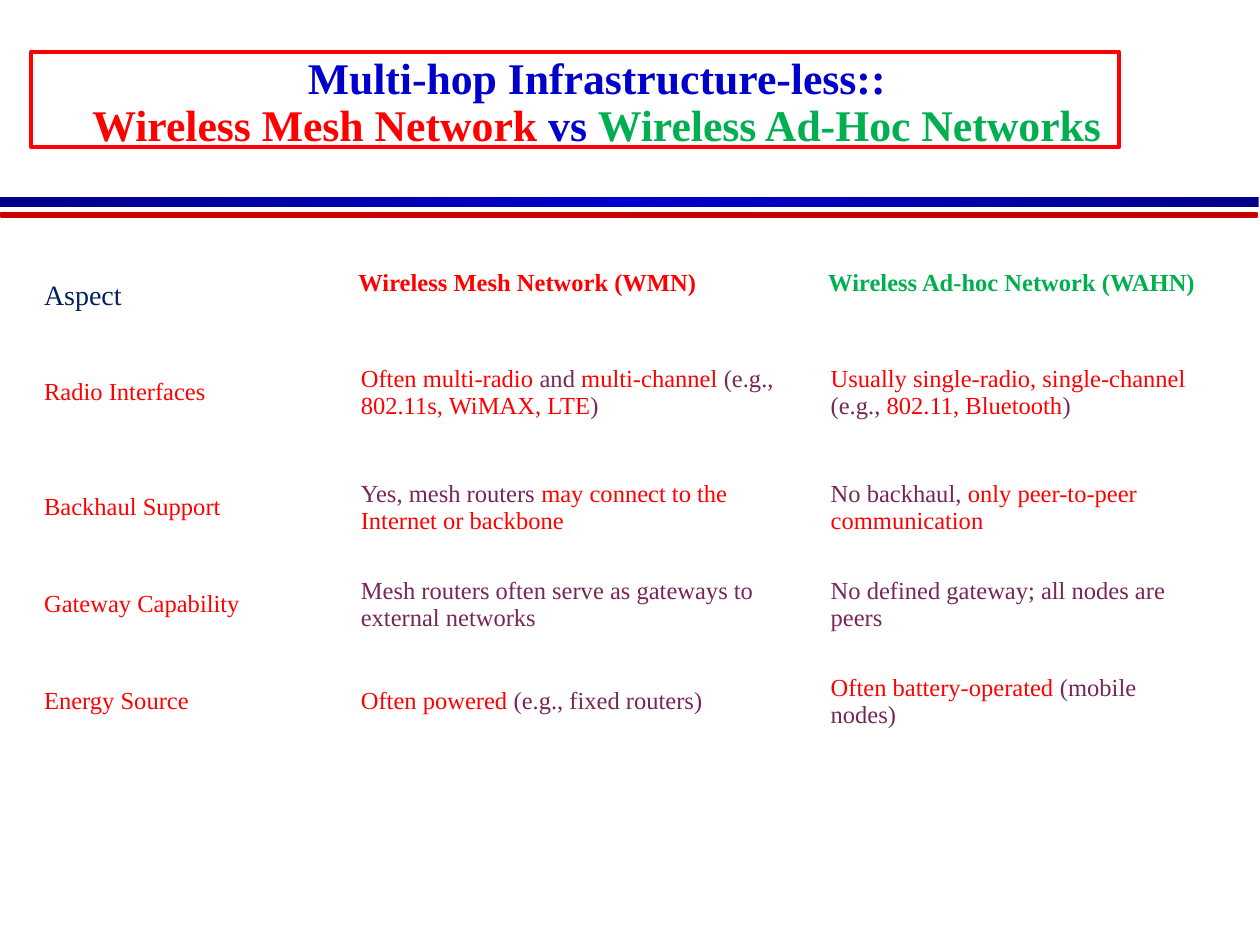
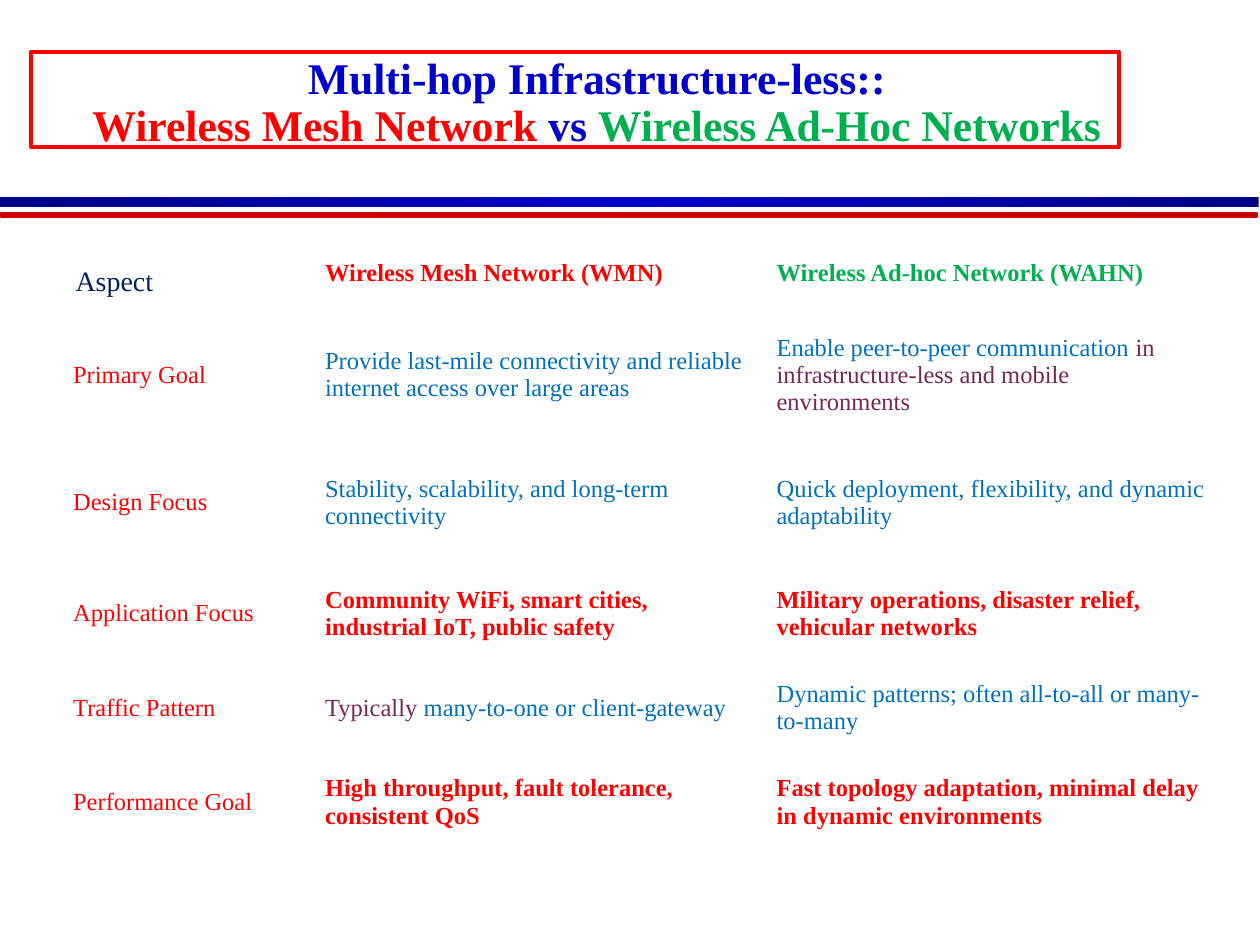
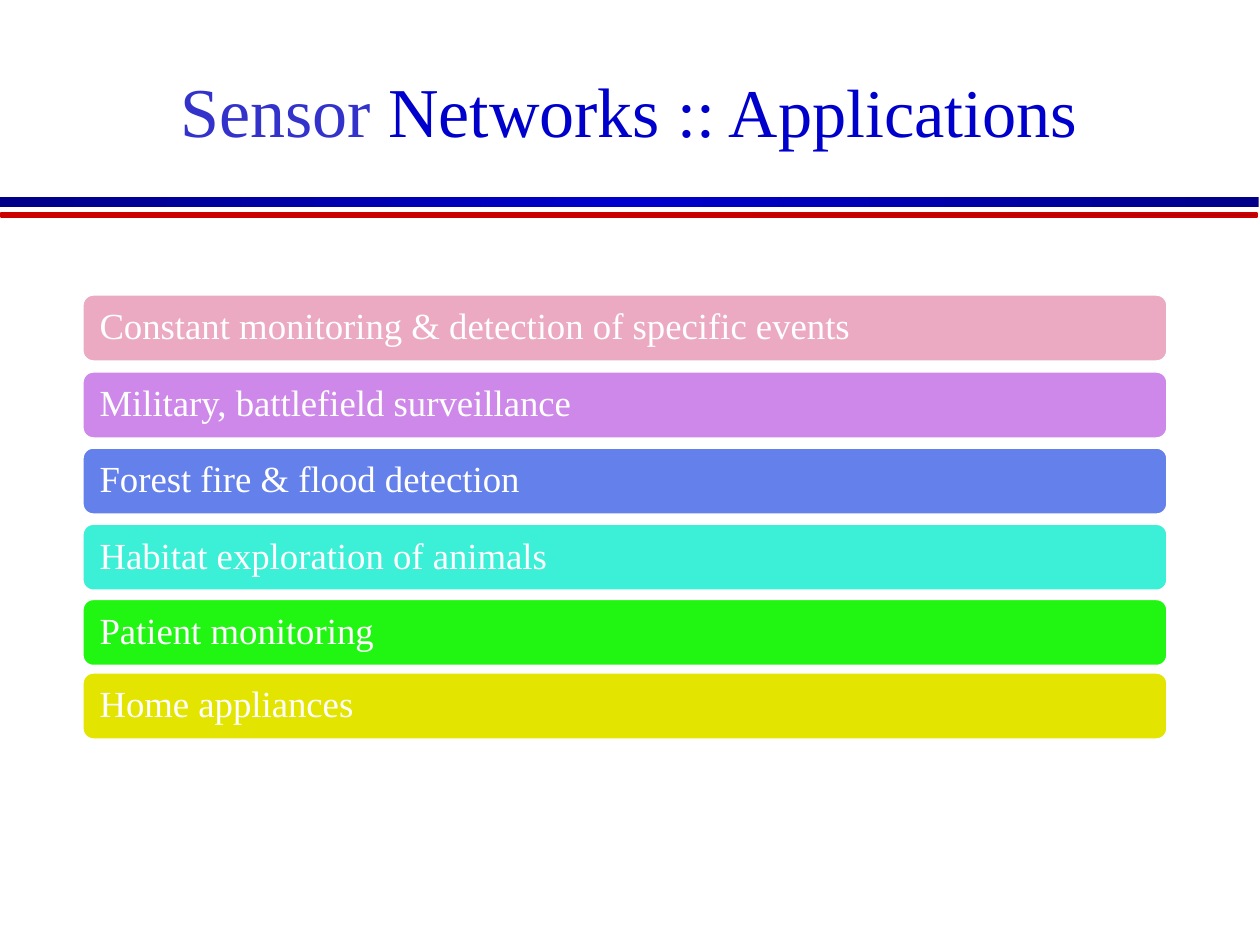
"""Build three slides on wireless mesh, ad-hoc and sensor networks."""
from copy import deepcopy
from dataclasses import dataclass, field

from pptx import Presentation
from pptx.dml.color import RGBColor
from pptx.enum import shapes, text
from pptx.util import Pt


@dataclass
class Theme:
    font: str = "Times New Roman"
    colors: dict = field(default_factory=lambda: {
        "red": "FF0000", "green": "00B050", "blue": "0070C0", "plum": "772655",
        "navy": "002060", "royal": "0000CC", "indigo": "3333CC", "white": "FFFFFF",
        "band blue": "000089", "band red": "CC0000", "band dark red": "B90000",
        "pink": "EBAAC1", "violet": "CE88EA", "periwinkle": "6480EB",
        "turquoise": "3CEFD7", "lime": "21F613", "yellow": "E3E500"})
    sizes: dict = field(default_factory=lambda: {
        "body": 14, "aspect": 16, "bar": 21, "heading": 25, "title": 40, "subtitle": 39})

    def color(self, name):
        return RGBColor.from_string(self.colors[name])


THEME = Theme()
BANDS = [
    ((0, 112.3, 719.3, 5.8), ["band blue", "royal", "band blue"], None),
    ((0.7, 121.7, 717.8, 2.2), ["band red", "band dark red"], "band red"),
]
HEADING = [
    ("Multi-hop Infrastructure-less::", "royal", "heading", True), None,
    ("Wireless Mesh Network ", "red", "heading", True),
    ("vs ", "royal", "heading", True),
    ("Wireless Ad-Hoc Networks", "green", "heading", True),
]
HEADING_FRAME = (18, 29.5, 621.4, 54.7)
APPLICATIONS_TITLE = [
    ("Sensor ", "indigo", "title"),
    ("Networks ", "royal", "title"),
    (":: Applications", "royal", "subtitle"),
]
COLUMN_HEADS = [
    [("Aspect", "navy", "aspect")],
    [("Wireless Mesh Network (WMN)", "red", "body", True)],
    [("Wireless Ad-hoc Network (WAHN)", "green", "body", True)],
]
ASPECT_INSETS = (7.2, 8, 7.2, 3.6)
HEAD_INSETS = (5.8, 4.3, 2.9, 4.3)
COMPARISONS = [
    {
        "title_box": (24, 12, 634, 78),
        "corner": (18, 150),
        "columns": [181, 268.5, 222.5],
        "rows": [34, 76, 55.5, 55.5, 55.5],
        "insets": ASPECT_INSETS,
        "aspects": [
            ("Radio Interfaces",
             [("Often multi-radio ", "red"), ("and ", "plum"), ("multi-channel", "red"),
              (" (e.g., ", "plum"), ("802.11s, WiMAX, LTE", "red"), (")", "plum")],
             [("Usually single-radio, single-channel ", "red"), ("(e.g., ", "plum"),
              ("802.11, Bluetooth", "red"), (")", "plum")]),
            ("Backhaul Support",
             [("Yes, mesh routers ", "plum"),
              ("may connect to the Internet or backbone", "red")],
             [("No backhaul, ", "plum"), ("only peer-to-peer communication", "red")]),
            ("Gateway Capability",
             [("Mesh routers often serve as gateways to external networks", "plum")],
             [("No defined gateway; all nodes are peers", "plum")]),
            ("Energy Source",
             [("Often powered ", "red"), ("(e.g., fixed routers)", "plum")],
             [("Often battery-operated ", "red"), ("(mobile nodes)", "plum")]),
        ],
    },
    {
        "title_box": (24, 18, 634, 72),
        "corner": (36, 144),
        "columns": [144, 258, 258],
        "rows": [25, 82, 63.4, 63.4, 44.6, 63.4],
        "insets": (5.8, 2.9, 5.8, 2.9),
        "aspects": [
            ("Primary Goal",
             [("Provide last-mile connectivity and reliable internet access over large areas",
               "blue")],
             [("Enable peer-to-peer communication ", "blue"),
              ("in infrastructure-less and mobile environments", "plum")]),
            ("Design Focus",
             [("Stability, scalability, and long-term connectivity", "blue")],
             [("Quick deployment, flexibility, and dynamic adaptability", "blue")]),
            ("Application Focus",
             [("Community WiFi, smart cities, industrial IoT, public safety",
               "red", "body", True)],
             [("Military operations, disaster relief, vehicular networks",
               "red", "body", True)]),
            ("Traffic Pattern",
             [("Typically ", "plum"), ("many-to-one or client-gateway", "blue")],
             [("Dynamic patterns; often all-to-all or many-to-many", "blue")]),
            ("Performance Goal",
             [("High throughput, fault tolerance, consistent QoS", "red", "body", True)],
             [("Fast topology adaptation, minimal delay in dynamic environments",
               "red", "body", True)]),
        ],
    },
]
APPLICATIONS = [
    ("Constant monitoring & detection of specific events", "pink", 168),
    ("Military, battlefield surveillance", "violet", 212),
    ("Forest fire & flood detection", "periwinkle", 255.5),
    ("Habitat exploration of animals", "turquoise", 299),
    ("Patient monitoring", "lime", 342),
    ("Home appliances", "yellow", 384),
]
BAR_LEFT, BAR_WIDTH, BAR_HEIGHT = 46.8, 620.6, 38.9


def apply(target, **values):
    """Set each named attribute on the target."""
    for name, value in values.items():
        setattr(target, name, value)


def set_insets(target, insets):
    """Set left, top, right and bottom margins in points."""
    sides = ("left", "top", "right", "bottom")
    apply(target, **{f"margin_{side}": Pt(inset) for side, inset in zip(sides, insets)})


def write(paragraph, runs):
    """Add styled runs to a paragraph; None stands for a line break."""
    for content in runs:
        if content is None:
            paragraph.add_line_break()
            continue
        words, color, size, bold = (*content, "body", False)[:4] if len(content) == 2 else (*content, False)[:4]
        run = paragraph.add_run()
        run.text = words
        apply(run.font, name=THEME.font, size=Pt(THEME.sizes[size]), bold=bold)
        run.font.color.rgb = THEME.color(color)
    for line_break in paragraph._p.xpath("a:br"):
        line_break.append(deepcopy(paragraph.runs[0]._r.rPr))


def add_box(slide, kind, box, fill=None, line=None, weight=1):
    """Add a preset shape without shadow."""
    shape = slide.shapes.add_shape(kind, *map(Pt, box))
    shape.shadow.inherit = False
    if fill:
        shape.fill.solid()
        shape.fill.fore_color.rgb = THEME.color(fill)
    else:
        shape.fill.background()
    if line:
        shape.line.color.rgb = THEME.color(line)
        shape.line.width = Pt(weight)
    else:
        shape.line.fill.background()
    return shape


def add_bands(slide, layout):
    """Draw the two gradient bands and move them to the shared layout."""
    for placeholder in list(layout.placeholders)[1:]:
        placeholder._element.getparent().remove(placeholder._element)
    for box, colors, line in BANDS:
        band = add_box(slide, shapes.MSO_SHAPE.RECTANGLE, box, line=line)
        band.fill.gradient()
        band.fill.gradient_angle = 0
        stop_list = band._element.xpath(".//a:gsLst")[0]
        while len(stop_list) < len(colors):
            stop_list.append(deepcopy(stop_list[-1]))
        for index, (stop, color) in enumerate(zip(band.fill.gradient_stops, colors)):
            stop.position = index / (len(colors) - 1)
            stop.color.rgb = THEME.color(color)
        layout.shapes._spTree.append(band._element)


def set_title(slide, box, runs, insets, **spacing):
    """Place the title placeholder and write its runs."""
    title = slide.shapes.title
    apply(title, **dict(zip(("left", "top", "width", "height"), map(Pt, box))))
    frame = title.text_frame
    apply(frame, word_wrap=True, auto_size=text.MSO_AUTO_SIZE.NONE,
          vertical_anchor=text.MSO_ANCHOR.BOTTOM)
    set_insets(frame, insets)
    paragraph = frame.paragraphs[0]
    apply(paragraph, alignment=text.PP_ALIGN.CENTER, **spacing)
    write(paragraph, runs)


def add_comparison(slide, comparison):
    """Add a boxed heading and a plain comparison table."""
    columns, rows = comparison["columns"], comparison["rows"]
    box = (*comparison["corner"], sum(columns), sum(rows))
    table = slide.shapes.add_table(len(rows), len(columns), *map(Pt, box)).table
    apply(table, first_row=False, horz_banding=False)
    for column, width in zip(table.columns, columns):
        column.width = Pt(width)
    for row, height in zip(table.rows, rows):
        row.height = Pt(height)
    contents = [COLUMN_HEADS] + [
        [[(aspect, "red")], mesh, ad_hoc] for aspect, mesh, ad_hoc in comparison["aspects"]]
    for row_index, row_contents in enumerate(contents):
        for column_index, runs in enumerate(row_contents):
            cell = table.cell(row_index, column_index)
            cell.fill.background()
            network_head = row_index == 0 and column_index > 0
            cell.vertical_anchor = text.MSO_ANCHOR.TOP if network_head else text.MSO_ANCHOR.MIDDLE
            head_insets = HEAD_INSETS if network_head else ASPECT_INSETS
            set_insets(cell, comparison["insets"] if row_index else head_insets)
            write(cell.text_frame.paragraphs[0], runs)
    set_title(slide, comparison["title_box"], HEADING, (7.2, 3.6, 7.2, 3.6),
              line_spacing=0.9, space_after=Pt(6))
    add_box(slide, shapes.MSO_SHAPE.RECTANGLE, HEADING_FRAME, line="red", weight=2.25)


def add_applications(slide):
    """Add the title and one coloured bar for each application."""
    set_title(slide, (70.5, 23.8, 578, 65.5), APPLICATIONS_TITLE, (5, 2.9, 5, 2.9))
    for words, color, top in APPLICATIONS:
        bar = add_box(slide, shapes.MSO_SHAPE.ROUNDED_RECTANGLE,
                      (BAR_LEFT, top, BAR_WIDTH, BAR_HEIGHT), color, "white", 2)
        frame = bar.text_frame
        apply(frame, word_wrap=True, vertical_anchor=text.MSO_ANCHOR.MIDDLE)
        set_insets(frame, (8.2, 6.5, 8.2, 6.5))
        paragraph = frame.paragraphs[0]
        apply(paragraph, alignment=text.PP_ALIGN.LEFT, line_spacing=0.9)
        write(paragraph, [(words, "white", "bar")])


def main():
    """Build and save the presentation."""
    presentation = Presentation()
    apply(presentation, slide_width=Pt(720), slide_height=Pt(540))
    layout = presentation.slide_layouts[5]
    slides = [presentation.slides.add_slide(layout) for _ in range(3)]
    add_bands(slides[0], layout)
    for slide, comparison in zip(slides, COMPARISONS):
        add_comparison(slide, comparison)
    add_applications(slides[-1])
    presentation.save("out.pptx")


if __name__ == "__main__":
    main()
